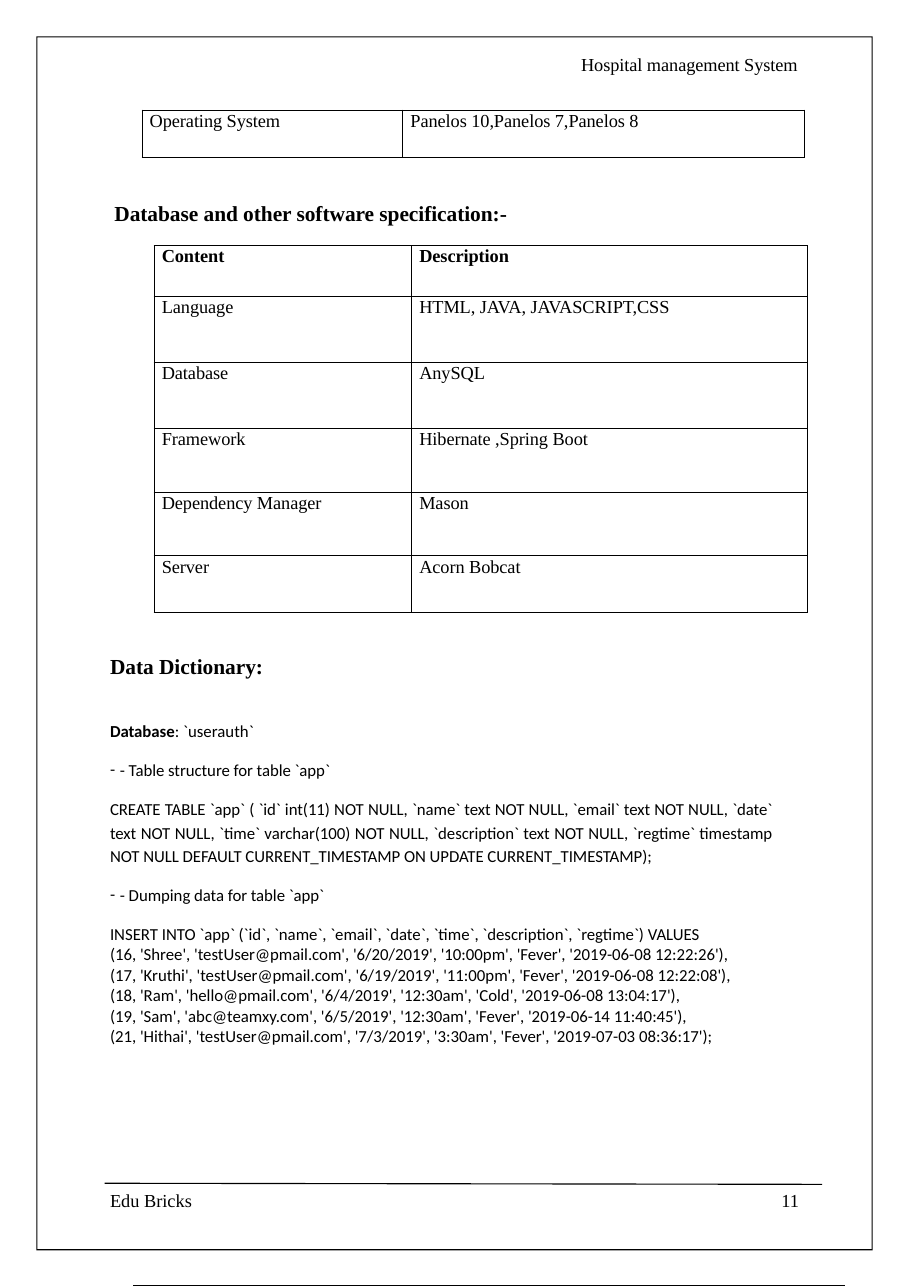
from lxml.etree import SubElement
from pptx import Presentation
from pptx.dml.color import RGBColor
from pptx.enum.shapes import MSO_CONNECTOR, MSO_SHAPE
from pptx.enum.text import MSO_ANCHOR, PP_ALIGN
from pptx.oxml.ns import qn
from pptx.util import Inches, Pt

COLORS = {"ink": "000000"}
SERIF, SANS = "Times New Roman", "Calibri"


class Page:
    def __init__(self, slide):
        self.shapes = slide.shapes
        self.ink = RGBColor.from_string(COLORS["ink"])

    def style(self, para, text, size=12, face=SERIF, bold=False, before=0,
              lead=None, left=0.01, hang=0, align=None, track=-5):
        para.text = text
        font = para.font
        font.size, font.name, font.bold = Pt(size), face, bold
        font.color.rgb = self.ink
        para.space_before = Pt(before)
        para.alignment = align
        if lead:
            para.line_spacing = lead
        props = para._p.get_or_add_pPr()
        props.set("marL", str(Inches(left)))
        props.set("indent", str(Inches(hang)))
        if hang:
            SubElement(props, qn("a:buFont")).set("typeface", face)
            SubElement(props, qn("a:buChar")).set("char", "-")
            props.append(props.find(qn("a:defRPr")))
        for run in para.runs:
            run._r.get_or_add_rPr().set("spc", str(track))

    def text(self, x, y, w, h, items, top=0.01):
        box = self.shapes.add_textbox(Inches(x), Inches(y), Inches(w), Inches(h))
        frame = box.text_frame
        frame.word_wrap = True
        frame.margin_left = frame.margin_right = frame.margin_bottom = 0
        frame.margin_top = Inches(top)
        for i, (words, look) in enumerate(items):
            para = frame.add_paragraph() if i else frame.paragraphs[0]
            self.style(para, words, **look)
        return frame

    def line(self, x1, y1, x2, y2, width):
        rule = self.shapes.add_connector(
            MSO_CONNECTOR.STRAIGHT, Inches(x1), Inches(y1), Inches(x2), Inches(y2))
        rule.line.color.rgb = self.ink
        rule.line.width = Pt(width)
        SubElement(rule._element.spPr, qn("a:effectLst"))

    def border(self, x, y, w, h, thick):
        edge = self.shapes.add_shape(
            MSO_SHAPE.FRAME, Inches(x), Inches(y), Inches(w), Inches(h))
        edge.adjustments[0] = thick / w
        edge.shadow.inherit = False
        edge.fill.solid()
        edge.fill.fore_color.rgb = self.ink
        edge.line.fill.background()

    def table(self, x, y, cols, highs, rows, head=False):
        grid = self.shapes.add_table(
            len(rows), len(cols), Inches(x), Inches(y),
            Inches(sum(cols)), Inches(sum(highs))).table
        grid.first_row = grid.horz_banding = False
        for col, width in zip(grid.columns, cols):
            col.width = Inches(width)
        for r, (high, row) in enumerate(zip(highs, rows)):
            grid.rows[r].height = Inches(high)
            for c, words in enumerate(row):
                self.cell(grid.cell(r, c), words, head and r == 0)

    def cell(self, cell, words, bold):
        cell.margin_left = cell.margin_right = 0
        cell.margin_top = cell.margin_bottom = 0
        cell.vertical_anchor = MSO_ANCHOR.TOP
        self.style(cell.text_frame.paragraphs[0], words, bold=bold,
                   lead=Pt(13.9), left=0.07)
        props = cell._tc.get_or_add_tcPr()
        for side in ("lnL", "lnR", "lnT", "lnB"):
            edge = SubElement(props, qn("a:" + side))
            edge.set("w", str(Pt(0.5)))
            fill = SubElement(edge, qn("a:solidFill"))
            SubElement(fill, qn("a:srgbClr")).set("val", COLORS["ink"])
        cell.fill.background()


def main():
    deck = Presentation()
    deck.slide_width = Inches(596 / 72)
    deck.slide_height = Inches(842.5 / 72)
    page = Page(deck.slides.add_slide(deck.slide_layouts[6]))

    page.line(1.21, 11.68, 7.68, 11.68, 0.72)
    page.text(5.27, 0.47, 2.02, 0.23,
              [("Hospital management System", {"before": 1})])
    page.line(0.95, 10.75, 7.47, 10.76, 0.75)
    page.table(1.29, 1, [2.37, 3.65], [0.43],
               [["Operating System", "Panelos 10,Panelos 7,Panelos 8"]])

    title = {"size": 14, "bold": True, "before": 1}
    page.text(1.03, 1.81, 3.63, 0.26,
              [("Database and other software specification:-", title)])
    page.table(1.4, 2.23, [2.34, 3.6], [0.46, 0.6, 0.6, 0.58, 0.58, 0.51], [
        ["Content", "Description"],
        ["Language", "HTML, JAVA, JAVASCRIPT,CSS"],
        ["Database", "AnySQL"],
        ["Framework", "Hibernate ,Spring Boot"],
        ["Dependency Manager", "Mason"],
        ["Server", "Acorn Bobcat"],
    ], head=True)

    code = {"size": 11, "face": SANS}
    dash = {**code, "left": 0.1, "hang": -0.09, "before": 12.2}
    entry = {**code, "before": 0.2, "track": -2}
    body = page.text(0.99, 5.92, 6.03, 3.6, [
        ("Data Dictionary:", title),
        ("Database", {**code, "before": 28, "bold": None}),
        ("- Table structure for table `app`", dash),
        ("CREATE TABLE `app` ( `id` int(11) NOT NULL, `name` text NOT NULL, "
         "`email` text NOT NULL, `date` text NOT NULL, `time` varchar(100) "
         "NOT NULL, `description` text NOT NULL, `regtime` timestamp NOT NULL "
         "DEFAULT CURRENT_TIMESTAMP ON UPDATE CURRENT_TIMESTAMP);",
         {**code, "before": 9.9, "lead": 1.17, "align": PP_ALIGN.JUSTIFY}),
        ("- Dumping data for table `app`", dash),
        ("INSERT INTO `app` (`id`, `name`, `email`, `date`, `time`, "
         "`description`, `regtime`) VALUES\v(16, 'Shree', 'testUser@pmail.com', "
         "'6/20/2019', '10:00pm', 'Fever', '2019-06-08 12:22:26'),",
         {**entry, "before": 11.8, "lead": 1.02}),
    ] + [(words, entry) for words in (
        "(17, 'Kruthi', 'testUser@pmail.com', '6/19/2019', '11:00pm', 'Fever', "
        "'2019-06-08 12:22:08'),",
        "(18, 'Ram', 'hello@pmail.com', '6/4/2019', '12:30am', 'Cold', "
        "'2019-06-08 13:04:17'),",
        "(19, 'Sam', 'abc@teamxy.com', '6/5/2019', '12:30am', 'Fever', "
        "'2019-06-14 11:40:45'),",
        "(21, 'Hithai', 'testUser@pmail.com', '7/3/2019', '3:30am', 'Fever', "
        "'2019-07-03 08:36:17');",
    )])
    name = body.paragraphs[1]
    name.runs[0].font.bold = True
    name.add_run().text = ": `userauth`"

    page.border(0.33, 0.33, 7.6, 11.03, 0.01)
    foot = {"lead": Pt(14.1), "track": 0}
    page.text(0.99, 10.81, 0.79, 0.21, [("Edu Bricks", foot)], top=0)
    page.text(7.06, 10.81, 0.26, 0.21, [("11", {**foot, "left": 0.04})], top=0)
    deck.save("out.pptx")


if __name__ == "__main__":
    main()
